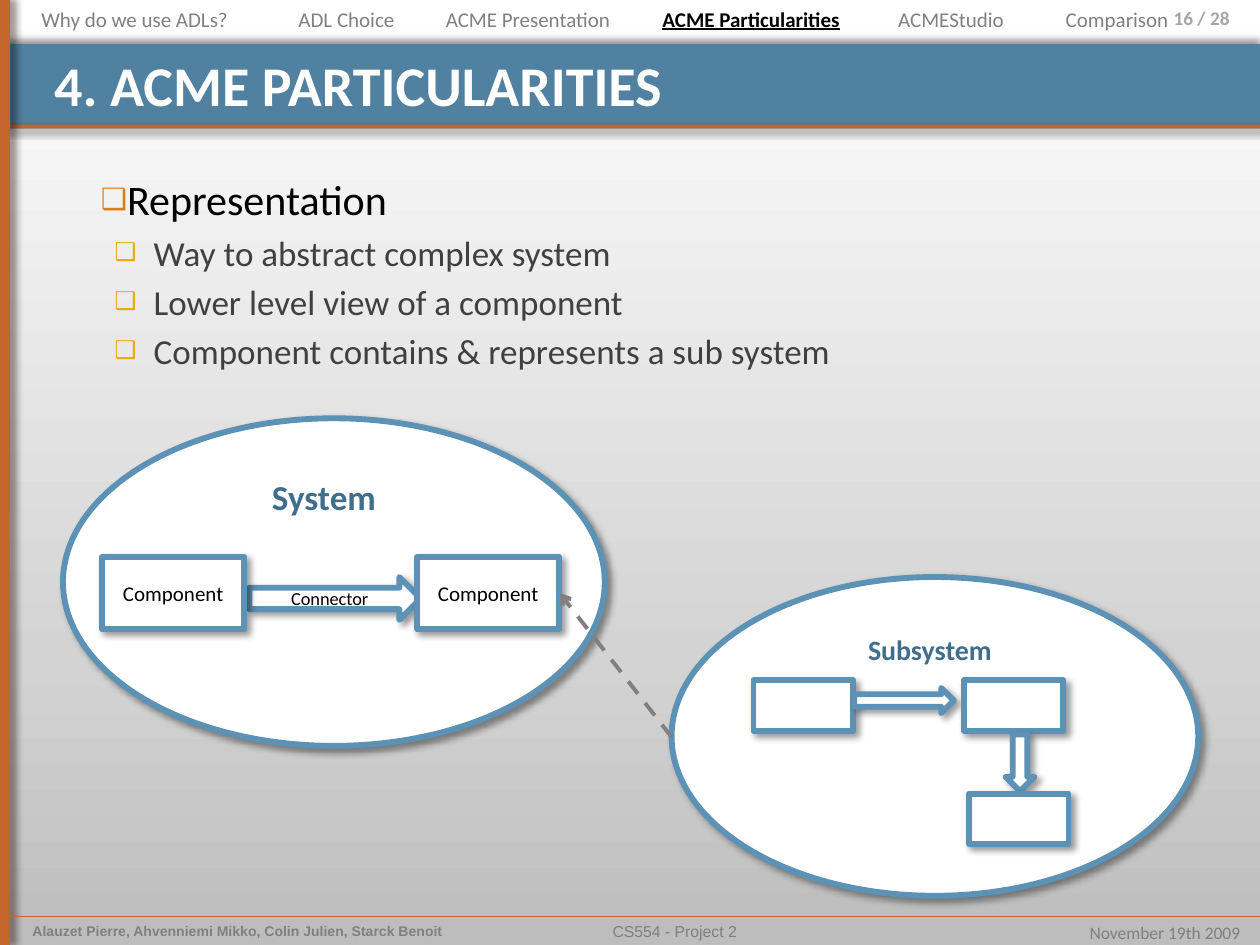
from dataclasses import dataclass

from lxml import etree
from pptx import Presentation
from pptx.dml.color import RGBColor
from pptx.enum.dml import MSO_LINE
from pptx.enum.shapes import MSO_CONNECTOR, MSO_SHAPE
from pptx.enum.text import MSO_ANCHOR, MSO_AUTO_SIZE, PP_ALIGN
from pptx.oxml.ns import qn
from pptx.util import Inches, Pt

RECT, OVAL, ARROW = MSO_SHAPE.RECTANGLE, MSO_SHAPE.OVAL, MSO_SHAPE.RIGHT_ARROW
STRAIGHT, DASH = MSO_CONNECTOR.STRAIGHT, MSO_LINE.DASH
LEFT, CENTER, RIGHT = PP_ALIGN.LEFT, PP_ALIGN.CENTER, PP_ALIGN.RIGHT
TOP, MIDDLE = MSO_ANCHOR.TOP, MSO_ANCHOR.MIDDLE
RIGHT_SIDE = 3


@dataclass(frozen=True)
class Theme:
    font: str = "Calibri"
    footer_font: str = "Arial"
    bar: str = "5181A0"
    accent: str = "C4652D"
    outline: str = "5C92B5"
    label: str = "406F8D"
    white: str = "FFFFFF"
    black: str = "000000"
    body: str = "404040"
    gray: str = "808080"
    footer: str = "7F7F7F"
    page: str = "A6A6A6"
    bullets: tuple = ("DA7E18", "E5AB1B")
    backdrop: tuple = ((0, "BDBDBD"), (30, "D3D3D3"), (100, "FFFFFF"))
    title_size: float = 32
    body_sizes: tuple = (24, 20)
    nav_size: float = 12
    outline_width: float = 3.35


T = Theme()
NAV = [
    ("Why do we use ADLs?", 0.23, 1.73),
    ("ADL Choice", 2.27, 0.99),
    ("ACME Presentation", 3.44, 1.56),
    ("ACME Particularities", 5.16, 1.63),
    ("ACMEStudio", 7.03, 1.05),
    ("Comparison", 8.36, 1.02),
]
CURRENT = "ACME Particularities"
POINTS = [
    (0, "Representation"),
    (1, "Way to abstract complex system"),
    (1, "Lower level view of a component"),
    (1, "Component contains & represents a sub system"),
]


def rgb(value):
    return RGBColor.from_string(value)


def sub(parent, tag, **attrs):
    return etree.SubElement(parent, qn(tag), {k: str(v) for k, v in attrs.items()})


def box(*lengths):
    return [Inches(n) for n in lengths]


def place(sp, *at):
    sp.left, sp.top, sp.width, sp.height = box(*at)


def write(p, text, size=12, color=T.black, font=T.font, bold=False,
          underline=False, align=LEFT):
    p.alignment = align
    r = p.add_run()
    r.text = text
    f = r.font
    f.name, f.size, f.bold, f.underline = font, Pt(size), bold, underline
    f.color.rgb = rgb(color)


def add_shadow(effects, angle):
    shadow = sub(effects, "a:outerShdw", blurRad=Pt(4), dist=Pt(3),
                 dir=angle * 60000, algn="ctr", rotWithShape=0)
    color = sub(shadow, "a:srgbClr", val=T.black)
    sub(color, "a:alpha", val=40000)


def add_box(slide, kind, at, fill=T.white, line=None, shadow=None,
            text=None, rotation=0, **fmt):
    sp = slide.shapes.add_shape(kind, *box(*at))
    sp.rotation = rotation
    sp.fill.solid()
    sp.fill.fore_color.rgb = rgb(fill)
    if line:
        sp.line.color.rgb = rgb(line)
        sp.line.width = Pt(T.outline_width)
    else:
        sp.line.fill.background()
    sp.shadow.inherit = False
    if shadow is not None:
        add_shadow(sp._element.spPr.find(qn("a:effectLst")), shadow)
    if text:
        sp.text_frame.vertical_anchor = MIDDLE
        write(sp.text_frame.paragraphs[0], text, **fmt)
    return sp


def add_node(slide, kind, *at, **options):
    return add_box(slide, kind, at, line=T.outline, shadow=45, align=CENTER, **options)


def add_label(slide, text, at, wrap=True, margin_right=0.1, **fmt):
    tf = slide.shapes.add_textbox(*box(*at)).text_frame
    tf.word_wrap = wrap
    tf.margin_right = Inches(margin_right)
    write(tf.paragraphs[0], text, **fmt)


def add_line(slide, start, end, color, width, shadow=None):
    ln = slide.shapes.add_connector(STRAIGHT, *box(*start, *end))
    ln.line.color.rgb = rgb(color)
    ln.line.width = Pt(width)
    effects = sub(ln._element.spPr, "a:effectLst")
    if shadow is not None:
        add_shadow(effects, shadow)
    return ln


def paint_background(slide):
    fill = slide.background.fill
    fill.gradient()
    fill.gradient_angle = 90
    stops = slide._element.find(".//" + qn("a:gsLst"))
    for stop in list(stops):
        stops.remove(stop)
    for pos, color in T.backdrop:
        sub(sub(stops, "a:gs", pos=pos * 1000), "a:srgbClr", val=color)


def add_frame(slide):
    # Title bar, rule and left strip
    add_box(slide, RECT, (0, 0.35, 10, 0.67), fill=T.bar, shadow=270)
    add_box(slide, RECT, (0, 0.99, 10, 0.03), fill=T.accent, shadow=45)
    add_box(slide, RECT, (0, 0, 0.08, 7.5), fill=T.accent, shadow=0)
    # Footer and page number
    add_line(slide, (0.08, 7.27), (10, 7.27), T.accent, 0.25, shadow=45)
    add_label(slide, "Alauzet Pierre, Ahvenniemi Mikko, Colin Julien, Starck Benoit",
              (0.16, 7.27, 3.67, 0.23), size=8, color=T.gray,
              font=T.footer_font, bold=True)
    add_label(slide, "CS554 - Project 2", (2.27, 7.27, 6.17, 0.23), size=9,
              color=T.footer, font=T.footer_font, align=CENTER)
    add_label(slide, "November 19th 2009", (8.52, 7.27, 1.42, 0.27), wrap=False,
              size=10, color=T.footer, align=RIGHT)
    add_label(slide, "16 / 28", (8.83, 0, 1.17, 0.39), margin_right=0.24,
              size=11, color=T.page, bold=True, align=RIGHT)
    # Section navigation
    for text, left, width in NAV:
        here = text == CURRENT
        add_label(slide, text, (left, 0, width, 0.3), wrap=False, size=T.nav_size,
                  color=T.black if here else T.gray, bold=here, underline=here)


def fill_title(slide, title):
    place(title, 0.33, 0.35, 9.28, 0.58)
    title.text_frame.vertical_anchor = TOP
    title.text_frame.auto_size = MSO_AUTO_SIZE.NONE
    write(title.text_frame.paragraphs[0], "4. ACME PARTICULARITIES",
          size=T.title_size, color=T.white, bold=True)
    slide.shapes._spTree.append(title._element)  # in front of the title bar


def fill_body(body):
    place(body, 0.31, 1.33, 9.45, 5.86)
    tf = body.text_frame
    tf.auto_size = MSO_AUTO_SIZE.NONE
    indents = ((0, 0.39), (0.81, -0.31))
    for i, (level, text) in enumerate(POINTS):
        p = tf.add_paragraph() if i else tf.paragraphs[0]
        p.level = level
        pPr = p._p.get_or_add_pPr()
        margin, indent = indents[level]
        pPr.set("marL", str(Inches(margin)))
        pPr.set("indent", str(Inches(indent)))
        sub(sub(pPr, "a:buClr"), "a:srgbClr", val=T.bullets[level])
        sub(pPr, "a:buSzPct", val=70000)
        sub(pPr, "a:buChar", char="❑")
        write(p, text, size=T.body_sizes[level], color=T.body if level else T.black)
    tf.paragraphs[0].space_before = Pt(0)


def add_system(slide):
    add_node(slide, OVAL, 0.5, 3.32, 4.3, 2.6)
    add_box(slide, RECT, (2.06, 3.72, 1.15, 0.44), text="System", size=20,
            color=T.label, bold=True)
    add_node(slide, ARROW, 1.98, 4.58, 1.36, 0.34, text="Connector", size=10.5)
    parts = [add_node(slide, RECT, left, 4.42, 1.13, 0.57, text="Component")
             for left in (0.81, 3.31)]
    return parts[-1]


def add_subsystem(slide):
    add_node(slide, OVAL, 5.33, 4.58, 4.18, 2.53)
    add_label(slide, "Subsystem", (6.44, 4.97, 1.88, 0.37), size=16,
              color=T.label, bold=True, align=CENTER)
    add_node(slide, RECT, 5.98, 5.4, 0.79, 0.4)
    add_node(slide, ARROW, 6.78, 5.46, 0.79, 0.2)
    add_node(slide, RECT, 7.65, 5.4, 0.79, 0.4)
    add_node(slide, ARROW, 7.87, 5.94, 0.45, 0.23, rotation=90)
    add_node(slide, RECT, 7.69, 6.3, 0.79, 0.4)


def main():
    prs = Presentation()
    prs.slide_width, prs.slide_height = box(10, 7.5)
    slide = prs.slides.add_slide(prs.slide_layouts[1])
    paint_background(slide)
    add_frame(slide)
    fill_title(slide, slide.shapes.title)
    fill_body(slide.placeholders[1])
    # Diagram: the component is detailed by the subsystem
    add_subsystem(slide)
    component = add_system(slide)
    link = add_line(slide, (5.33, 5.85), (4.44, 4.7), T.gray, 2.25)
    link.end_connect(component, RIGHT_SIDE)
    link.line.dash_style = DASH
    sub(link.line._get_or_add_ln(), "a:tailEnd", type="arrow")
    prs.save("out.pptx")


if __name__ == "__main__":
    main()
